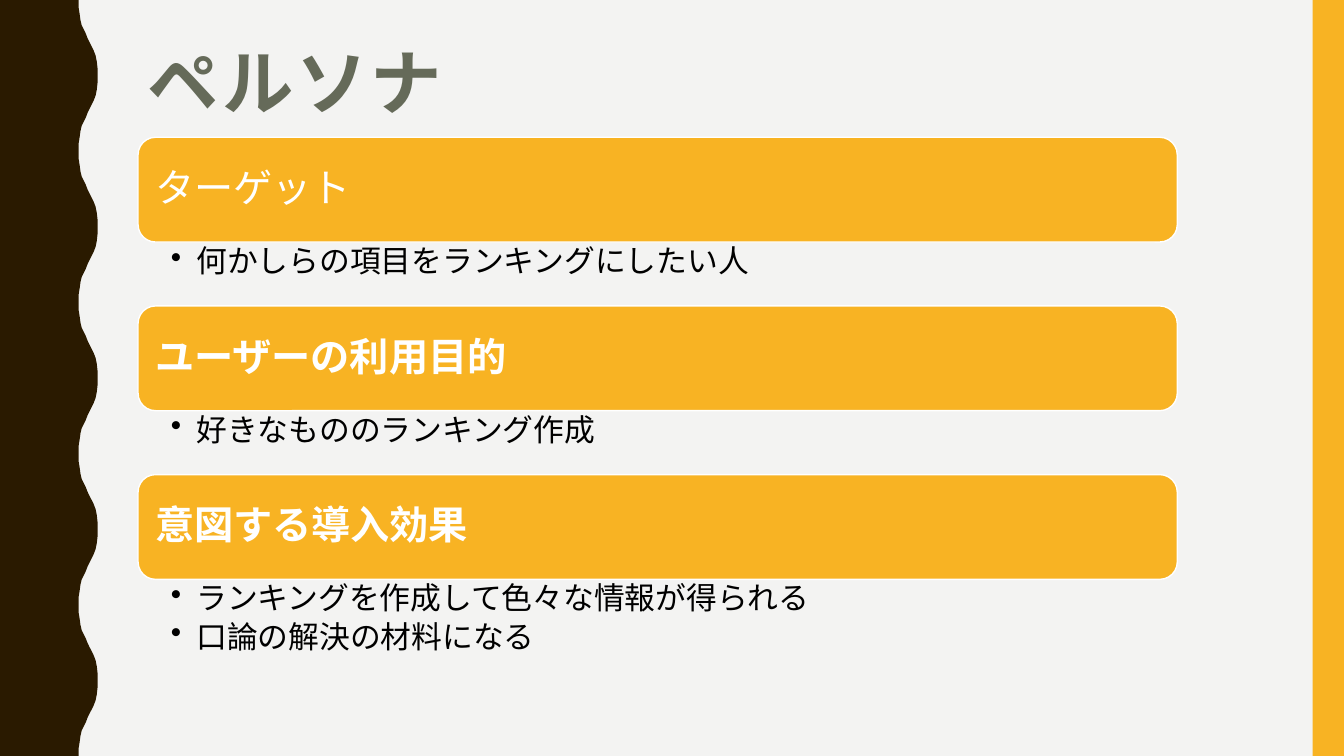
from pptx import Presentation
from pptx.dml.color import RGBColor
from pptx.enum.shapes import MSO_SHAPE
from pptx.enum.text import MSO_ANCHOR, PP_ALIGN
from pptx.oxml.ns import qn
from pptx.util import Cm, Pt
from lxml import etree

COLORS = {
    "background": "F3F3F2",
    "wave": "2A1A00",
    "amber": "F8B323",
    "title": "656A59",
    "white": "FFFFFF",
    "black": "000000",
}
SLIDE_WIDTH, SLIDE_HEIGHT = 33.87, 19.05
BODY_FONT, TITLE_FONT = "Calibri", "Roboto Condensed"

# Half of one wave: edge position and depth, from trough to crest
WAVE_COUNT = 5
HALF_WAVE = [
    (1.98, 0), (1.98, 0.18), (2.01, 0.36), (2.03, 0.51), (2.06, 0.64),
    (2.11, 0.74), (2.16, 0.84), (2.21, 0.97), (2.26, 1.07), (2.31, 1.17),
    (2.36, 1.27), (2.41, 1.4), (2.44, 1.55), (2.46, 1.73), (2.46, 1.91),
]

# Heading, whether it is bold, bullet lines
SECTIONS = [
    ("ターゲット", False, ["何かしらの項目をランキングにしたい人"]),
    ("ユーザーの利用目的", True, ["好きなもののランキング作成"]),
    ("意図する導入効果", True,
     ["ランキングを作成して色々な情報が得られる", "口論の解決の材料になる"]),
]
BAR_HEIGHT, SECTION_PITCH, BULLET_LINE = 2.64, 4.25, 1.61


def color(name):
    return RGBColor.from_string(COLORS[name])


def paint(shape, fill, line=None):
    shape.shadow.inherit = False
    shape.fill.solid()
    shape.fill.fore_color.rgb = color(fill)
    if line:
        shape.line.color.rgb = color(line)
        shape.line.width = Pt(1)
    else:
        shape.line.fill.background()


def set_margins(frame, left, top, right, bottom):
    frame.word_wrap = True
    frame.margin_left, frame.margin_top = Cm(left), Cm(top)
    frame.margin_right, frame.margin_bottom = Cm(right), Cm(bottom)


def style(paragraph, font_name, size, font_color, bold=False):
    paragraph.alignment = PP_ALIGN.LEFT
    paragraph.line_spacing = 0.9
    font = paragraph.font
    font.name, font.size, font.bold = font_name, Pt(size), bold
    font.color.rgb = color(font_color)


def add_bullet(paragraph, indent):
    properties = paragraph._p.get_or_add_pPr()
    properties.set("marL", str(Cm(indent)))
    properties.set("indent", str(-Cm(indent)))
    bullet = etree.Element(qn("a:buChar"), char="•")
    properties.find(qn("a:defRPr")).addprevious(bullet)


def add_wave(slide, left, top, height):
    wave_height = height / WAVE_COUNT
    one_wave = HALF_WAVE + [(x, wave_height - y) for x, y in HALF_WAVE[-2::-1]]
    edge = [(left + x, top + y + index * wave_height)
            for index in range(WAVE_COUNT) for x, y in one_wave]
    builder = slide.shapes.build_freeform(Cm(left), Cm(top), scale=1.0)
    builder.add_line_segments(
        [(Cm(x), Cm(y)) for x, y in edge + [(left, top + height)]], close=True)
    paint(builder.convert_to_shape(), "wave")


def add_side_band(slide, left, top, width, height):
    band = slide.shapes.add_shape(
        MSO_SHAPE.RECTANGLE, Cm(left), Cm(top), Cm(width), Cm(height))
    paint(band, "amber")


def add_title(slide, text, left, top, width, height):
    box = slide.shapes.add_textbox(Cm(left), Cm(top), Cm(width), Cm(height))
    box.text_frame.word_wrap = True
    paragraph = box.text_frame.paragraphs[0]
    run = paragraph.add_run()
    run.text = text
    style(paragraph, TITLE_FONT, 51, "title", bold=True)
    run.font._element.set("spc", "200")


def add_section(slide, heading, bold, lines, left, top, width):
    # Heading bar
    bar = slide.shapes.add_shape(
        MSO_SHAPE.ROUNDED_RECTANGLE, Cm(left), Cm(top), Cm(width), Cm(BAR_HEIGHT))
    paint(bar, "amber", line="white")
    frame = bar.text_frame
    set_margins(frame, 0.3, 0.3, 0.3, 0.3)
    frame.vertical_anchor = MSO_ANCHOR.MIDDLE
    frame.text = heading
    style(frame.paragraphs[0], BODY_FONT, 28, "white", bold)

    # Bullets below the bar
    box = slide.shapes.add_textbox(
        Cm(left), Cm(top + BAR_HEIGHT), Cm(width), Cm(BULLET_LINE * len(lines)))
    frame = box.text_frame
    set_margins(frame, 0.83, 0.1, 0.56, 0.1)
    frame.text = "\n".join(lines)
    for paragraph in frame.paragraphs:
        style(paragraph, BODY_FONT, 22, "black")
        paragraph.space_after = Pt(3.6)
        add_bullet(paragraph, 0.64)


def add_persona(slide, left, top, width):
    for index, (heading, bold, lines) in enumerate(SECTIONS):
        add_section(slide, heading, bold, lines,
                    left, top + index * SECTION_PITCH, width)


presentation = Presentation()
presentation.slide_width = Cm(SLIDE_WIDTH)
presentation.slide_height = Cm(SLIDE_HEIGHT)
slide = presentation.slides.add_slide(presentation.slide_layouts[6])
slide.background.fill.solid()
slide.background.fill.fore_color.rgb = color("background")

add_wave(slide, 0, 0, SLIDE_HEIGHT)
add_side_band(slide, 33.08, 0, SLIDE_WIDTH - 33.08, SLIDE_HEIGHT)
add_persona(slide, 3.48, 3.46, 26.19)
add_title(slide, "ペルソナ", 3.48, 1.07, 28.27, 4.14)

presentation.save("out.pptx")
